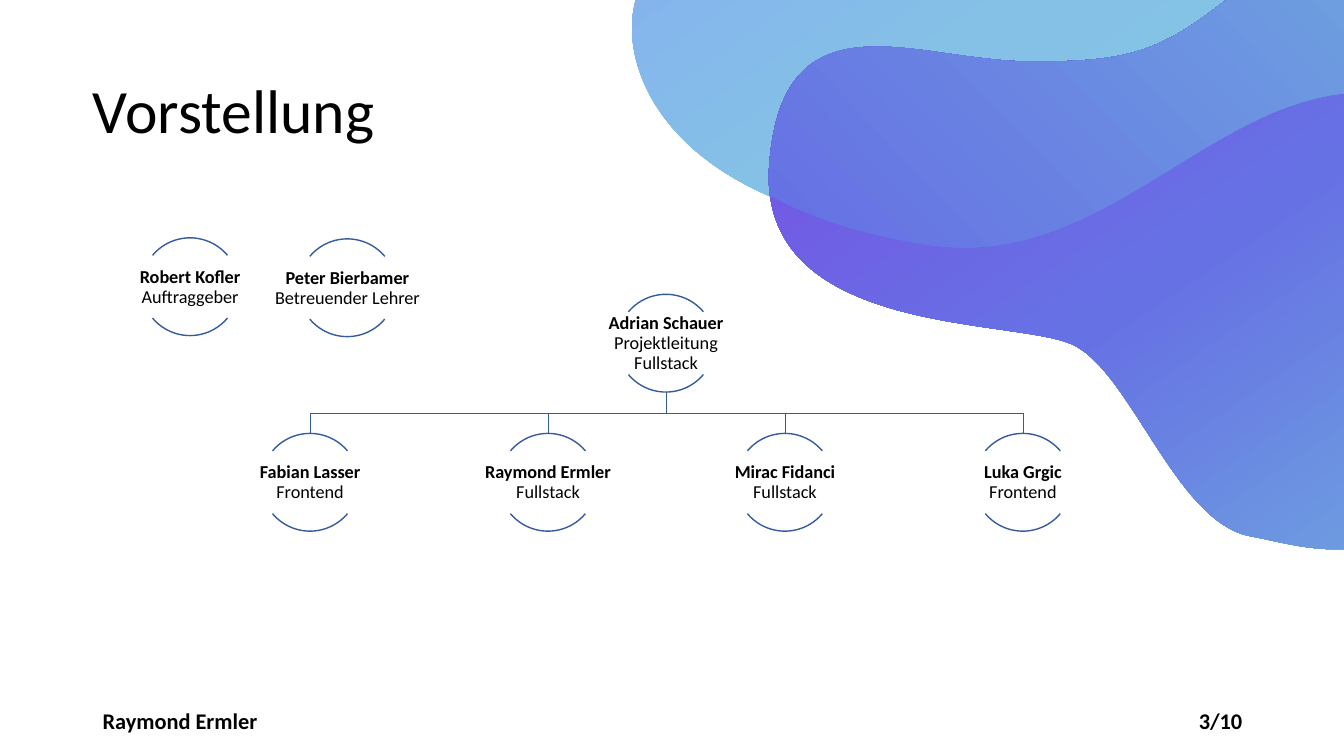
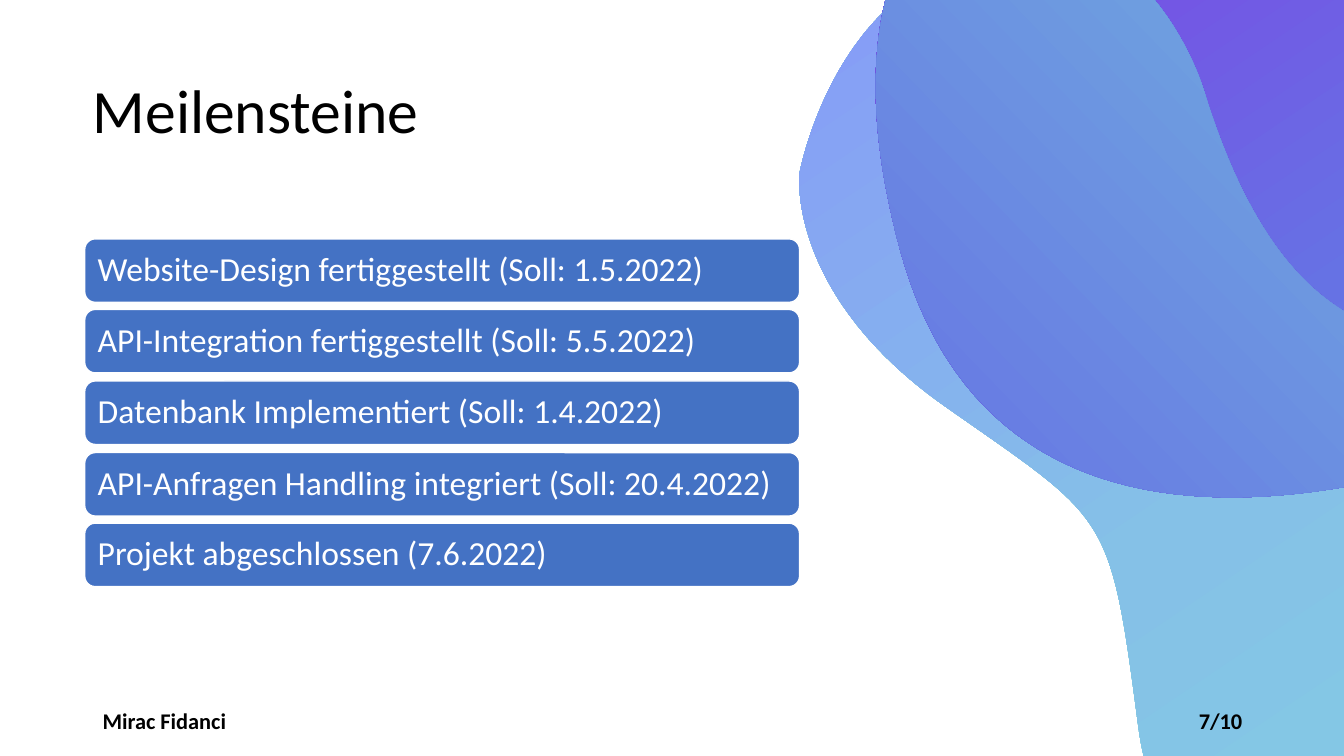
import pptx
import pptx.dml.color
import pptx.enum.shapes
import pptx.enum.text
import pptx.oxml
import pptx.oxml.ns
import pptx.util
import collections
import copy
import math

PX = 9144
FONT = "Calibri"
COLORS = {
    "text": "000000",
    "white": "FFFFFF",
    "line": "365B9D",
    "bar": "4472C4",
    "aqua": "81D8E0",
    "sky": "85C1E7",
    "lavender": "8698F9",
    "mint": "77D0DB",
    "indigo": "6672E4",
    "violet": "803AE5",
    "iris": "725AE4",
}

Knot = collections.namedtuple("Knot", "x y arrive leave")
Wave = collections.namedtuple("Wave", "knots stops angle")
Placement = collections.namedtuple("Placement", "x y turn")


def smooth(x, y, dx, dy):
    return Knot(x, y, (-dx, -dy), (dx, dy))


def corner(x, y, arrive=(0, 0), leave=(0, 0)):
    return Knot(x, y, arrive, leave)


def backwards(knots):
    return [Knot(knot.x, knot.y, knot.leave, knot.arrive) for knot in reversed(knots)]


BACK_OUTLINE = [
    corner(1562, 211, leave=(-312, -329)),
    smooth(890, 229, -250, -37),
    smooth(634, -9, 25, -55),
    smooth(788, -59, 92, 31),
    smooth(1016, -317, 55, -116),
    smooth(1376, -367, 119, 179),
    smooth(1684, -167, 194, 30),
    corner(1919, -22),
    smooth(1830, 263, -145, 88),
]
FRONT_OUTLINE = [
    smooth(1798, -44, -214, -246),
    smooth(1246, -24, -88, 72),
    smooth(1020, 61, -113, -1),
    smooth(763, 163, -13, 172),
    smooth(1064, 342, 58, 27),
    smooth(1240, 532, 74, 14),
    corner(1559, 421, arrive=(-177, 159)),
    corner(1774, 365, arrive=(-146, -45)),
    corner(1888, 330, arrive=(-29, 56)),
]
OVERLAP_OUTLINE = [
    corner(1798, -44, arrive=(-215, -246), leave=(97, 112)),
    corner(1924, 217, arrive=(-2, -62), leave=(-15, 23)),
    corner(1861, 277, arrive=(27, -17), leave=(-145, 88)),
    corner(1593, 225, leave=(-312, -328)),
    corner(921, 243, arrive=(251, 38), leave=(-67, -10)),
    corner(764, 194, arrive=(38, 21), leave=(-2, -10)),
    corner(763, 163, arrive=(-1, 11), leave=(14, -173)),
] + backwards(FRONT_OUTLINE[1:3])
WAVES = [
    Wave(BACK_OUTLINE, [(0, "aqua"), (0.54, "sky"), (1, "lavender")], 124),
    Wave(FRONT_OUTLINE, [(0, "mint"), (0.51, "indigo"), (1, "violet")], 124),
    Wave(OVERLAP_OUTLINE, [(0, "iris"), (0.09, "indigo"), (1, "mint")], 44),
]
UPRIGHT = Placement(1326, 40, 0)
TURNED = Placement(1353, 377, -153.9)

STAKEHOLDERS = [
    (140, 236, ["Robert Kofler", "Auftraggeber"]),
    (296, 237, ["Peter Bierbamer", "Betreuender Lehrer"]),
]
LEADER = (612, 292, ["Adrian Schauer", "Projektleitung", "Fullstack"])
MEMBERS = [
    ["Fabian Lasser", "Frontend"],
    ["Raymond Ermler", "Fullstack"],
    ["Mirac Fidanci", "Fullstack"],
    ["Luka Grgic", "Frontend"],
]
MILESTONES = [
    "Website-Design fertiggestellt (Soll: 1.5.2022)",
    "API-Integration fertiggestellt (Soll: 5.5.2022)",
    "Datenbank Implementiert (Soll: 1.4.2022)",
    "API-Anfragen Handling integriert (Soll: 20.4.2022)",
    "Projekt abgeschlossen (7.6.2022)",
]


def rgb(name):
    return pptx.dml.color.RGBColor.from_string(COLORS[name])


def bezier_points(knots):
    points = [(knots[0].x, knots[0].y)]
    for start, end in zip(knots, knots[1:] + knots[:1]):
        points += [
            (start.x + start.leave[0], start.y + start.leave[1]),
            (end.x + end.arrive[0], end.y + end.arrive[1]),
            (end.x, end.y),
        ]
    return points


def place(point, placement):
    x, y = point[0] - UPRIGHT.x, point[1] - UPRIGHT.y
    cosine = math.cos(math.radians(placement.turn))
    sine = math.sin(math.radians(placement.turn))
    return (round(placement.x + x * cosine - y * sine),
            round(placement.y + x * sine + y * cosine))


def write_text(shape, lines, size=16, color="text", bold=False, bold_first=False,
               align="LEFT", inset=10, spacing=1.0):
    frame = shape.text_frame
    frame.word_wrap = True
    frame.vertical_anchor = pptx.enum.text.MSO_ANCHOR.MIDDLE
    for side in ("left", "right", "top", "bottom"):
        setattr(frame, f"margin_{side}", inset * PX)
    paragraph = frame.paragraphs[0]
    paragraph.alignment = getattr(pptx.enum.text.PP_ALIGN, align)
    paragraph.line_spacing = spacing
    for index, line in enumerate(lines):
        if index:
            paragraph.add_line_break()
        run = paragraph.add_run()
        run.text = line
        run.font.name = FONT
        run.font.size = pptx.util.Pt(size)
        run.font.bold = bold or (bold_first and index == 0)
        run.font.color.rgb = rgb(color)


class Deck:
    NODE = 97
    NODE_MIDDLE = 49
    LABEL_WIDTH = 195
    LABEL_HEIGHT = 62
    MEMBER_LEFT = 259
    MEMBER_STEP = 235.67
    MEMBER_TOP = 430
    BRANCH_Y = 410
    MILESTONE_TOP = 237
    MILESTONE_STEP = 70.5

    def __init__(self):
        self.presentation = pptx.Presentation()
        self.presentation.slide_width = 1333 * PX
        self.presentation.slide_height = 750 * PX
        self.slide = None

    def new_slide(self, title, author, page, placement):
        self.slide = self.presentation.slides.add_slide(self.presentation.slide_layouts[6])
        for wave in WAVES:
            self.wave(wave, placement)
        self.text(92, 40, 1150, 145, [title], size=44, inset=0, spacing=0.9)
        self.text(92, 695, 450, 40, [author], bold=True)
        self.text(942, 695, 300, 40, [f"{page}/10"], bold=True, align="RIGHT")

    def text(self, left, top, width, height, lines, **style):
        box = self.slide.shapes.add_textbox(left * PX, top * PX, width * PX, height * PX)
        write_text(box, lines, **style)

    def wave(self, wave, placement):
        points = [place(point, placement) for point in bezier_points(wave.knots)]
        builder = self.slide.shapes.build_freeform(*points[0], scale=PX)
        builder.add_line_segments(points[1:], close=True)
        shape = builder.convert_to_shape()
        shape.shadow.inherit = False
        shape.line.fill.background()
        self.curve(shape)
        self.gradient(shape, wave.stops, wave.angle)

    def curve(self, shape):
        outline = shape._element.spPr.find(".//" + pptx.oxml.ns.qn("a:path"))
        segments = outline.findall(pptx.oxml.ns.qn("a:lnTo"))
        for start in range(0, len(segments), 3):
            bezier = pptx.oxml.parse_xml(f"<a:cubicBezTo {pptx.oxml.ns.nsdecls('a')}/>")
            segments[start].addprevious(bezier)
            for segment in segments[start:start + 3]:
                bezier.append(segment[0])
                outline.remove(segment)

    def gradient(self, shape, stops, angle):
        shape.fill.gradient()
        shape.fill.gradient_angle = angle
        stop_list = shape._element.spPr.find(".//" + pptx.oxml.ns.qn("a:gsLst"))
        stop_list.append(copy.deepcopy(stop_list[-1]))
        for stop, (position, color) in zip(shape.fill.gradient_stops, stops):
            stop.position = position
            stop.color.rgb = rgb(color)

    def line(self, x1, y1, x2, y2):
        connector = self.slide.shapes.add_connector(
            pptx.enum.shapes.MSO_CONNECTOR.STRAIGHT, x1 * PX, y1 * PX, x2 * PX, y2 * PX)
        connector.line.color.rgb = rgb("line")
        connector.line.width = pptx.util.Pt(1)
        connector._element.spPr.append(
            pptx.oxml.parse_xml(f"<a:effectLst {pptx.oxml.ns.nsdecls('a')}/>"))

    def shape(self, kind, left, top, width, height, line, fill=None):
        shape = self.slide.shapes.add_shape(
            getattr(pptx.enum.shapes.MSO_SHAPE, kind), left * PX, top * PX, width * PX, height * PX)
        shape.shadow.inherit = False
        shape.line.color.rgb = rgb(line)
        shape.line.width = pptx.util.Pt(1)
        if fill:
            shape.fill.solid()
            shape.fill.fore_color.rgb = rgb(fill)
        else:
            shape.fill.background()
        return shape

    def person(self, left, top, lines):
        for start, end in ((132, 192), (24, 84)):
            arc = self.shape("ARC", left, top, self.NODE, self.NODE, "line")
            arc.adjustments[0] = start
            arc.adjustments[1] = end
        label_left = left - (self.LABEL_WIDTH - self.NODE) // 2
        label_top = top + (self.NODE - self.LABEL_HEIGHT + 1) // 2
        self.text(label_left, label_top, self.LABEL_WIDTH, self.LABEL_HEIGHT, lines,
                  size=13, bold_first=True, align="CENTER", inset=1, spacing=0.9)

    def team(self, leader, members):
        left, top, lines = leader
        lefts = [self.MEMBER_LEFT + round(index * self.MEMBER_STEP)
                 for index in range(len(members))]
        centers = [member_left + self.NODE_MIDDLE for member_left in lefts]
        leader_center = left + self.NODE_MIDDLE
        self.line(leader_center, top + self.NODE, leader_center, self.BRANCH_Y)
        self.line(centers[0], self.BRANCH_Y, centers[-1], self.BRANCH_Y)
        self.person(left, top, lines)
        for member_left, center, member in zip(lefts, centers, members):
            self.line(center, self.BRANCH_Y, center, self.MEMBER_TOP)
            self.person(member_left, self.MEMBER_TOP, member)

    def milestones(self, labels):
        for index, label in enumerate(labels):
            top = self.MILESTONE_TOP + round(index * self.MILESTONE_STEP)
            bar = self.shape("ROUNDED_RECTANGLE", 84, top, 709, 63, "white", "bar")
            write_text(bar, [label], size=24, color="white", spacing=0.9)


def main():
    deck = Deck()
    deck.new_slide("Vorstellung", "Raymond Ermler", 3, UPRIGHT)
    for stakeholder in STAKEHOLDERS:
        deck.person(*stakeholder)
    deck.team(LEADER, MEMBERS)

    deck.new_slide("Meilensteine", "Mirac Fidanci", 7, TURNED)
    deck.milestones(MILESTONES)
    deck.presentation.save("out.pptx")


if __name__ == "__main__":
    main()
